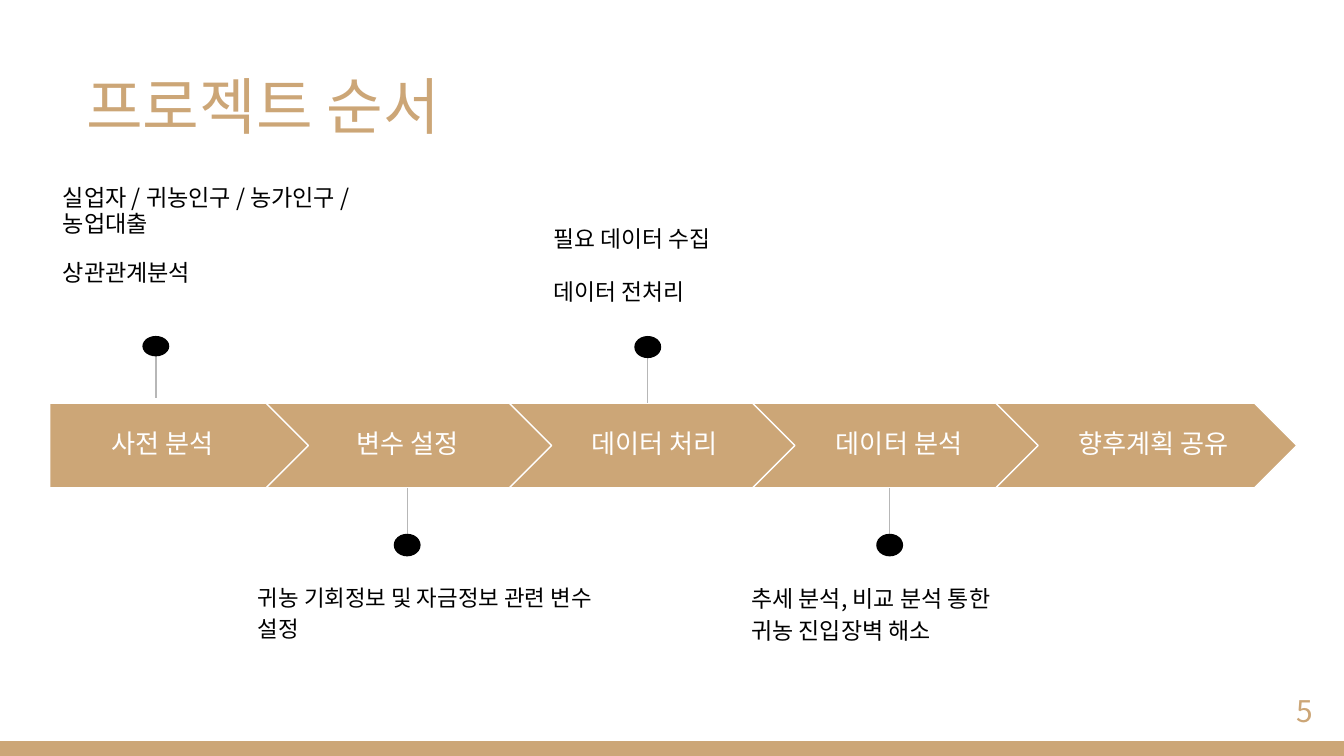
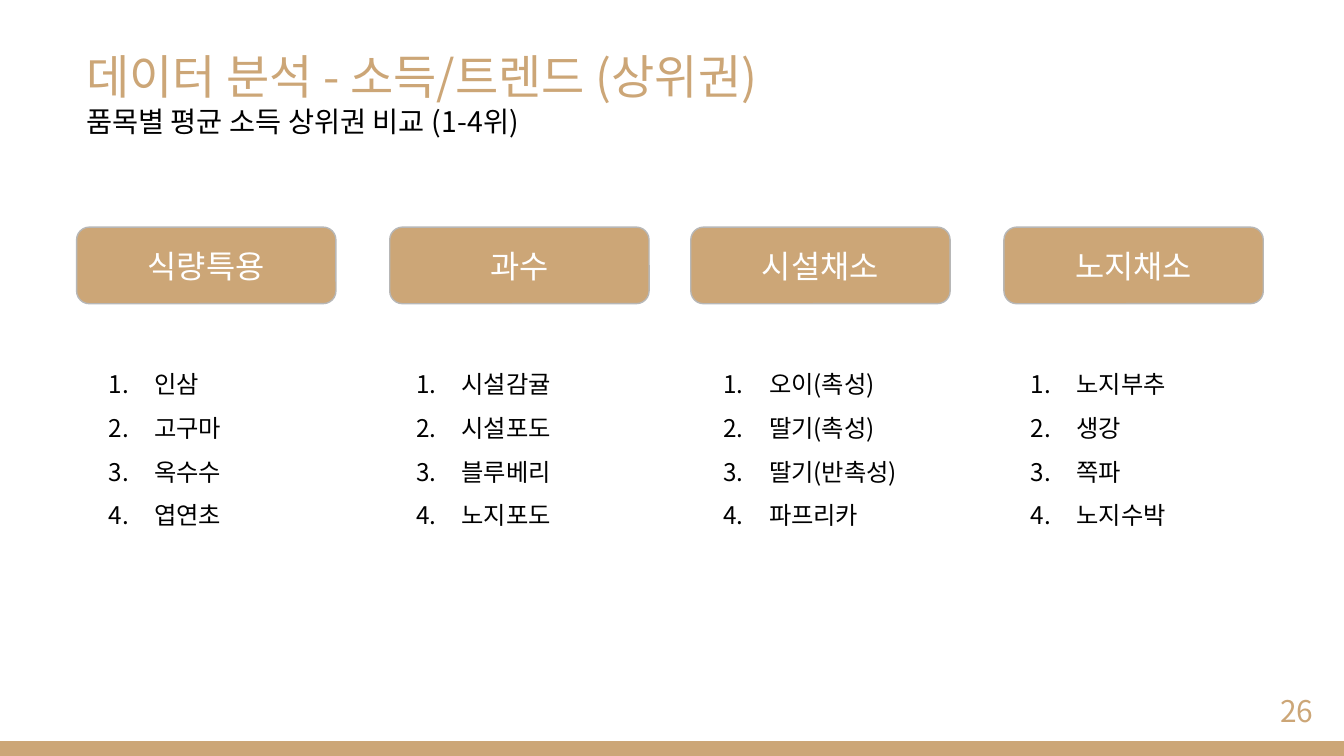
from dataclasses import dataclass

from lxml import etree
from pptx import Presentation
from pptx.dml.color import RGBColor
from pptx.enum.shapes import MSO_CONNECTOR, MSO_SHAPE
from pptx.enum.text import MSO_ANCHOR, MSO_AUTO_SIZE, PP_ALIGN
from pptx.oxml.ns import qn
from pptx.util import Inches, Pt

RECTANGLE, ROUNDED, OVAL = MSO_SHAPE.RECTANGLE, MSO_SHAPE.ROUNDED_RECTANGLE, MSO_SHAPE.OVAL
PENTAGON, CHEVRON = MSO_SHAPE.PENTAGON, MSO_SHAPE.CHEVRON
STRAIGHT = MSO_CONNECTOR.STRAIGHT
TOP, MIDDLE = MSO_ANCHOR.TOP, MSO_ANCHOR.MIDDLE
LEFT, CENTER, RIGHT = PP_ALIGN.LEFT, PP_ALIGN.CENTER, PP_ALIGN.RIGHT

COLORS = {"accent": "CCA677", "text": "000000", "light": "FFFFFF", "rule": "B7B7B7"}
FONT = "Noto Sans CJK KR"
WIDTH = Inches(10)
HEIGHT = WIDTH * 9 // 16
UNIT = WIDTH / 100  # the slide is a grid of 100 columns, with square cells
ROWS = HEIGHT / UNIT
TITLE_ONLY = 5


@dataclass
class Box:
    """An area in grid columns and rows."""
    left: float
    top: float
    width: float
    height: float

    def inside(self, left, top, width, height):
        """Return an area given in shares of this one."""
        return Box(self.left + left * self.width, self.top + top * self.height,
                   width * self.width, height * self.height)

    def lengths(self):
        return [round(value * UNIT) for value in (self.left, self.top, self.width, self.height)]


# label, label's left and width, pin (centre, top, height, points up), note (box, size, spacing, lines)
STAGES = [
    ("사전 분석", 3.7, 16.8, (11.6, 25, 4.6, True),
     (Box(3.7, 12.8, 26.9, 10.6), 12.4, 0.95,
      ["실업자 / 귀농인구 / 농가인구 / 농업대출", "상관관계분석"])),
    ("변수 설정", 21.6, 17.4, (30.3, 36.3, 5.1, False),
     (Box(18.2, 42.2, 26.9, 7.7), 12, 1.15, ["귀농 기회정보 및 자금정보 관련 변수 설정"])),
    ("데이터 처리", 39, 19.4, (48.2, 25, 5, True),
     (Box(40.2, 15.4, 24.5, 7.7), 12.2, 1.15, ["필요 데이터 수집", "데이터 전처리"])),
    ("데이터 분석", 57.2, 19.4, (66.2, 36.3, 5.1, False),
     (Box(54.9, 42.2, 20.4, 10.2), 12.3, 1.15, ["추세 분석, 비교 분석 통한 귀농 진입장벽 해소"])),
    ("향후계획 공유", 76.6, 18.5, None, None),
]
# category, its items, latin font of the items
CATEGORIES = [
    ("식량특용", ["인삼", "고구마", "옥수수", "엽연초"], "Arial"),
    ("과수", ["시설감귤", "시설포도", "블루베리", "노지포도"], FONT),
    ("시설채소", ["오이(촉성)", "딸기(촉성)", "딸기(반촉성)", "파프리카"], FONT),
    ("노지채소", ["노지부추", "생강", "쪽파", "노지수박"], FONT),
]


def rgb(name):
    return RGBColor.from_string(COLORS[name])


def format_paragraph(paragraph, size, color, align=LEFT, spacing=None, font=FONT):
    paragraph.alignment = align
    paragraph.line_spacing = spacing
    for run in paragraph.runs:
        run.font.size = Pt(size)
        run.font.name = font
        run.font.color.rgb = rgb(color)
        east_asian = etree.Element(qn("a:ea"), typeface=FONT)
        run.font._element.find(qn("a:latin")).addnext(east_asian)


def write(shape, lines, size, color, align=LEFT, spacing=None, anchor=TOP, font=FONT):
    frame = shape.text_frame
    frame.text = "\n".join(lines)
    frame.word_wrap = True
    frame.auto_size = MSO_AUTO_SIZE.NONE
    frame.vertical_anchor = anchor
    frame.margin_left = frame.margin_right = Inches(0.1)
    frame.margin_top = frame.margin_bottom = Inches(0.1)
    for paragraph in frame.paragraphs:
        format_paragraph(paragraph, size, color, align, spacing, font)
    return frame.paragraphs


def add_text(slide, box, lines, size, color, **style):
    return write(slide.shapes.add_textbox(*box.lengths()), lines, size, color, **style)


def add_filled(shapes, kind, box, fill="accent", line=None):
    shape = shapes.add_shape(kind, *box.lengths())
    shape.shadow.inherit = False
    shape.fill.solid()
    shape.fill.fore_color.rgb = rgb(fill)
    if line:
        shape.line.color.rgb = rgb(line)
        shape.line.width = Pt(0.75)
    else:
        shape.line.fill.background()
    return shape


def add_base_slide(presentation, number, title_box, title_lines, title_size):
    """Add a slide with its title, bottom band and page number."""
    slide = presentation.slides.add_slide(presentation.slide_layouts[TITLE_ONLY])
    title = slide.shapes.title
    title.left, title.top, title.width, title.height = title_box.lengths()
    paragraphs = write(title, title_lines, title_size, "accent", anchor=MIDDLE)
    add_filled(slide.shapes, RECTANGLE, Box(0, ROWS - 1.1, 100, 1.1))
    add_text(slide, Box(92.7, 51, 6, 4.3), [str(number)], 16, "accent",
             align=RIGHT, spacing=0.8, anchor=MIDDLE)
    return slide, paragraphs


def add_pin(slide, box, upward):
    """Add a dot at one end of the box with a line to the other end."""
    shapes = slide.shapes.add_group_shape().shapes
    dot = box.inside(0, 0 if upward else 0.67, 1, 0.33)
    start = dot.inside(0.5, 0.5, 0, 0)
    end = box.inside(0.5, 1 if upward else 0, 0, 0)
    line = shapes.add_connector(STRAIGHT, *start.lengths()[:2], *end.lengths()[:2])
    line.line.color.rgb = rgb("rule")
    line.line.width = Pt(0.75)
    etree.SubElement(line._element.spPr, qn("a:effectLst"))
    add_filled(shapes, OVAL, dot, "text")


def add_note(slide, box, size, spacing, lines):
    paragraphs = add_text(slide, box, lines, size, "text", spacing=spacing)
    for paragraph in paragraphs[1:]:
        paragraph.space_before = paragraph.space_after = Pt(12)


def add_process(slide, box, stages):
    """Add a row of arrows, whose tips are equally spaced, with pins and notes."""
    pitch, first_width, overlap = 18.1, 20.4, 4.3
    for index, (label, label_left, label_width, pin, note) in enumerate(stages):
        right = box.left + first_width + index * pitch
        width = pitch + overlap if index else first_width
        arrow = add_filled(slide.shapes, CHEVRON if index else PENTAGON,
                           Box(right - width, box.top, width, box.height), line="light")
        arrow.adjustments[0] = 0.5
        add_text(slide, Box(label_left, box.top + 1.2, label_width, 4), [label], 14, "light",
                 align=CENTER, spacing=0.8, anchor=MIDDLE)
        if pin:
            center, top, height, upward = pin
            add_pin(slide, Box(center - 1, top, 2, height), upward)
        if note:
            add_note(slide, *note)


def number_paragraph(paragraph):
    properties = paragraph._p.get_or_add_pPr()
    properties.set("marL", str(Inches(0.5)))
    properties.set("indent", str(Inches(-0.34)))
    color = etree.SubElement(properties, qn("a:buClr"))
    etree.SubElement(color, qn("a:srgbClr"), val=COLORS["text"])
    etree.SubElement(properties, qn("a:buFont"), typeface=FONT)
    etree.SubElement(properties, qn("a:buAutoNum"), type="arabicPeriod")


def add_categories(slide, box, categories):
    """Add headers, set in pairs, above evenly spaced numbered lists."""
    pair_pitch, header_pitch, list_pitch = 45.7, 23.3, 22.87
    for index, (name, items, font) in enumerate(categories):
        pair, place = divmod(index, 2)
        header_left = box.left + 0.2 + pair * pair_pitch + place * header_pitch
        header = add_filled(slide.shapes, ROUNDED, Box(header_left, box.top, 19.3, 5.7), line="rule")
        write(header, [name], 17, "light", align=CENTER, anchor=MIDDLE)
        list_box = Box(box.left + index * list_pitch, box.top + 8.5, 19.9, box.height - 8.5)
        for paragraph in add_text(slide, list_box, items, 13, "text", spacing=1.5, font=font):
            number_paragraph(paragraph)


def add_order_slide(presentation):
    slide, _ = add_base_slide(presentation, 5, Box(5.4, 3.3, 41.3, 9), ["프로젝트 순서"], 33)
    add_process(slide, Box(3.7, 30, 92.8, 6.3), STAGES)


def add_ranking_slide(presentation):
    lines = ["데이터 분석 - 소득/트렌드 (상위권)", "품목별 평균 소득 상위권 비교 (1-4위)"]
    slide, paragraphs = add_base_slide(presentation, 26, Box(5.4, 2.4, 64.3, 9), lines, 25.2)
    for run in paragraphs[1].runs:
        run.font.size = Pt(15.2)
        run.font.color.rgb = rgb("text")
    add_categories(slide, Box(5.5, 16.9, 88.5, 38.4), CATEGORIES)


def main():
    presentation = Presentation()
    presentation.slide_width, presentation.slide_height = WIDTH, HEIGHT
    add_order_slide(presentation)
    add_ranking_slide(presentation)
    presentation.save("out.pptx")


if __name__ == "__main__":
    main()
